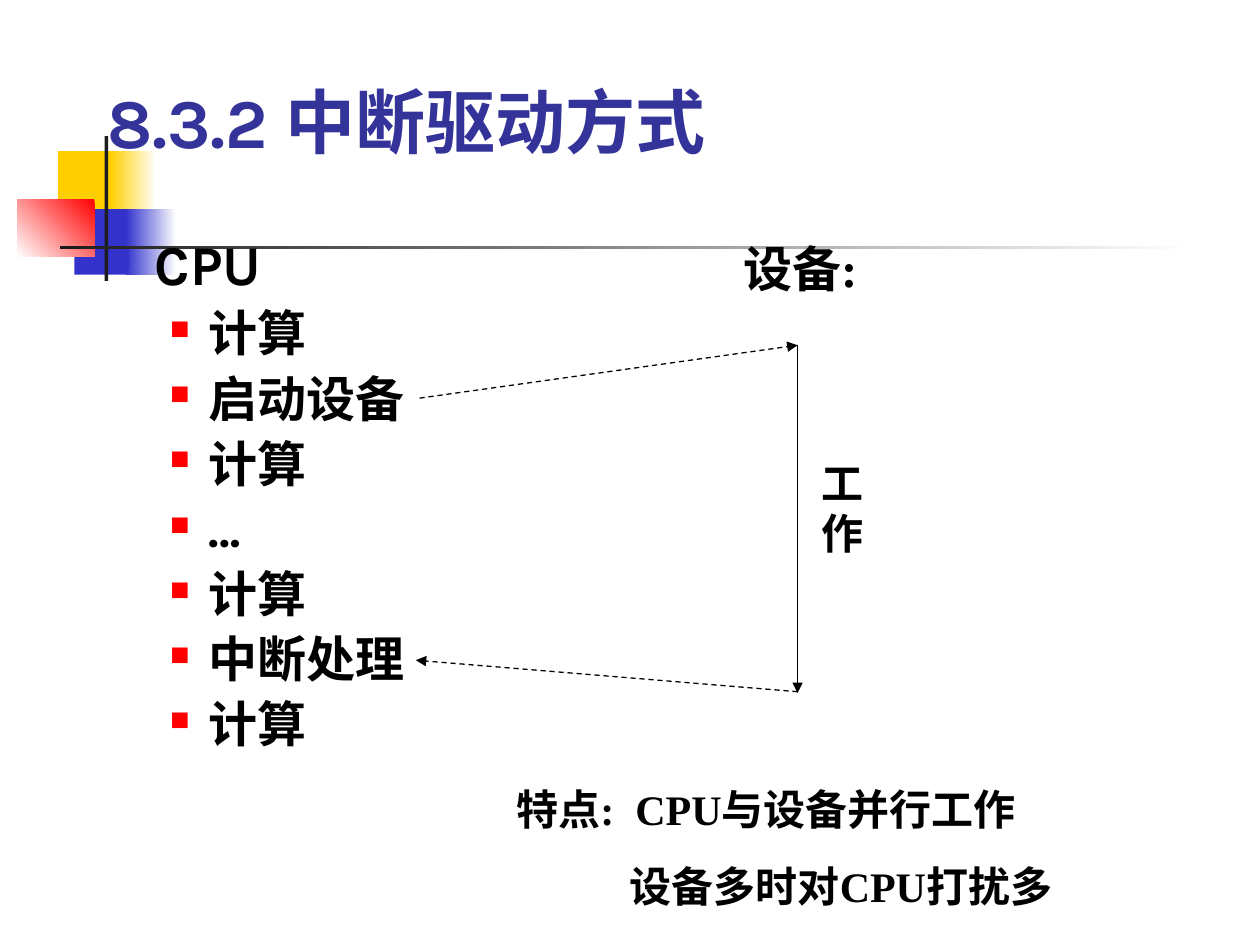
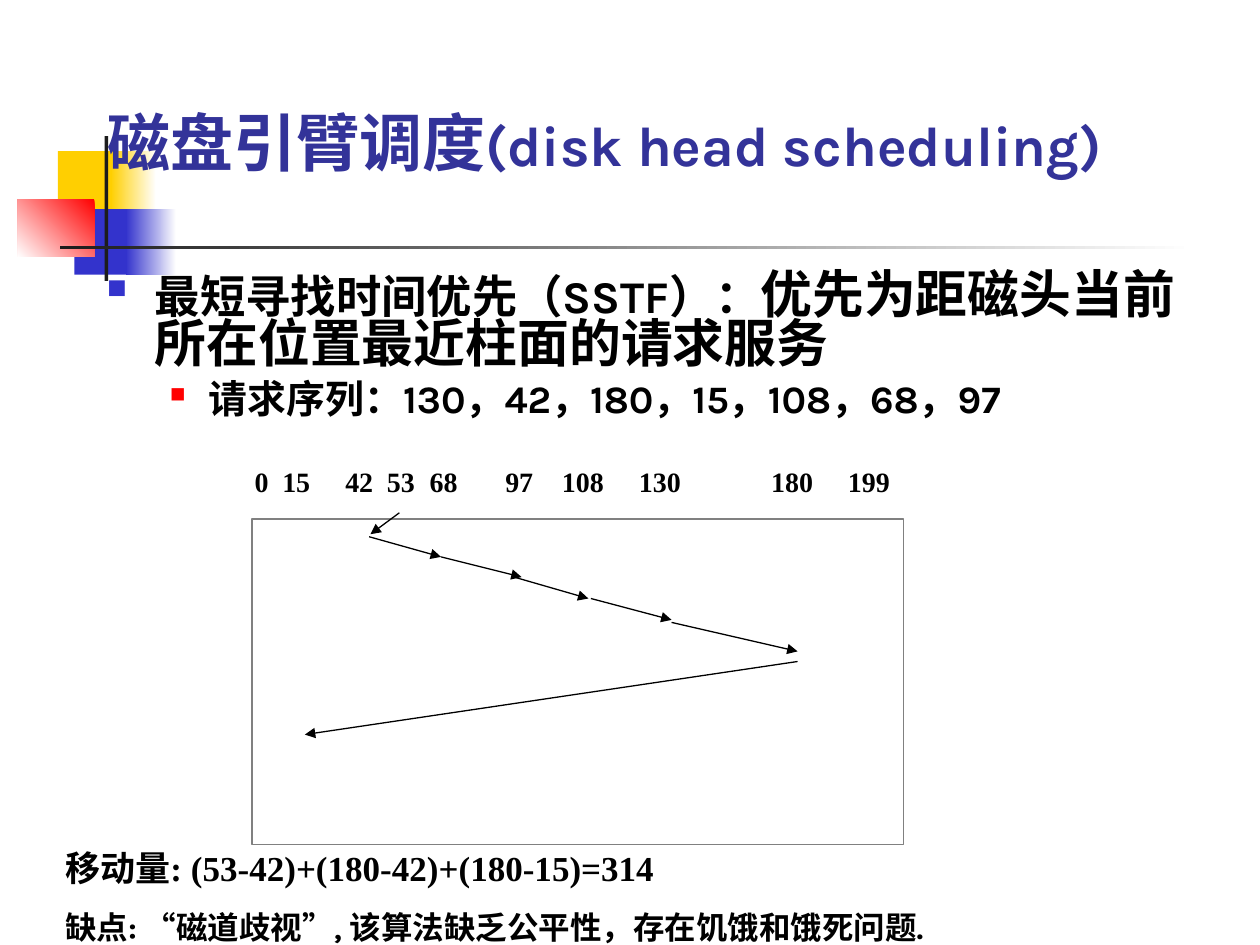
from dataclasses import dataclass
from typing import NamedTuple

from lxml.etree import SubElement
from pptx import Presentation
from pptx.dml.color import RGBColor
from pptx.enum.dml import MSO_LINE
from pptx.enum.shapes import MSO_CONNECTOR, MSO_SHAPE
from pptx.enum.text import MSO_ANCHOR, MSO_AUTO_SIZE, PP_ALIGN
from pptx.oxml.ns import qn
from pptx.util import Inches, Pt

# Shared style
COLORS = {
    "gold": "FFCF01", "blue": "3333CC", "red": "FF0000", "white": "FFFFFF",
    "dark": "1C1C1C", "title": "333399", "text": "000000", "frame": "808080",
}
SANS, SERIF = "Karla", "Times New Roman"
INSETS = (0.1, 0.05)


class Box(NamedTuple):
    left: float
    top: float
    width: float
    height: float


class Band(NamedTuple):
    box: Box
    start: str
    end: str = ""
    angle: int = 180


class Bullet(NamedTuple):
    color: str
    size: int
    left: float
    hang: float


class Run(NamedTuple):
    text: str
    size: float
    font: str = SANS
    color: str = "text"


class Arrow(NamedTuple):
    start: tuple[float, float]
    end: tuple[float, float]
    dashed: bool = False


@dataclass
class Para:
    runs: list[Run]
    before: float = 0
    spacing: float = 1.0
    bullet: Bullet | None = None
    indent: float = 0
    tabs: tuple[float, ...] = ()


MAIN = Bullet("blue", 60, 0.38, 0.38)
SUB = Bullet("red", 55, 0.81, 0.31)

BANDS = [
    Band(Box(0.46, 1.2, 0.48, 0.52), "gold"),
    Band(Box(0.88, 1.2, 0.36, 0.52), "white", "gold"),
    Band(Box(0.59, 1.66, 0.46, 0.52), "blue"),
    Band(Box(1, 1.66, 0.4, 0.52), "white", "blue"),
    Band(Box(0.14, 1.58, 0.61, 0.46), "red", "white", 225),
    Band(Box(0.83, 1.08, 0.03, 1.15), "dark"),
    Band(Box(0.48, 1.95, 9, 0.03), "white", "dark"),
]


def tint(name: str) -> RGBColor:
    return RGBColor.from_string(COLORS[name])


def assign(target, values: dict) -> None:
    for name, value in values.items():
        setattr(target, name, value)


def place(box: Box) -> list:
    return [Inches(value) for value in box]


# Text
def add_marks(para, spec: Para) -> None:
    """Set the bullet, the indent and the tab stops."""
    props = para._p.get_or_add_pPr()
    mark = spec.bullet
    if mark:
        props.set("marL", str(Inches(mark.left)))
        props.set("indent", str(-Inches(mark.hang)))
        color = SubElement(props, qn("a:buClr"))
        SubElement(color, qn("a:srgbClr"), val=COLORS[mark.color])
        SubElement(props, qn("a:buSzPct"), val=str(mark.size * 1000))
        SubElement(props, qn("a:buChar"), char="■")
    elif spec.indent:
        props.set("marL", str(Inches(spec.indent)))
        props.set("indent", "0")
    if spec.tabs:
        stops = SubElement(props, qn("a:tabLst"))
        for stop in spec.tabs:
            SubElement(stops, qn("a:tab"), pos=str(Inches(stop)), algn="l")


def fill_text(frame, paras: list[Para], insets=INSETS, anchor=MSO_ANCHOR.TOP) -> None:
    side, edge = map(Inches, insets)
    assign(frame, {
        "word_wrap": True, "auto_size": MSO_AUTO_SIZE.NONE,
        "vertical_anchor": anchor,
        "margin_left": side, "margin_right": side,
        "margin_top": edge, "margin_bottom": edge,
    })
    for index, spec in enumerate(paras):
        para = frame.add_paragraph() if index else frame.paragraphs[0]
        add_marks(para, spec)
        assign(para, {
            "alignment": PP_ALIGN.LEFT, "line_spacing": spec.spacing,
            "space_before": Pt(spec.before), "level": 1 if spec.bullet is SUB else 0,
        })
        for part in spec.runs:
            run = para.add_run()
            run.text = part.text
            assign(run.font, {"name": part.font, "size": Pt(part.size), "bold": True})
            run.font.color.rgb = tint(part.color)


def add_text(slide, box: Box, paras: list[Para], insets=INSETS) -> None:
    fill_text(slide.shapes.add_textbox(*place(box)).text_frame, paras, insets)


# Shapes
def add_rect(slide, box: Box):
    rect = slide.shapes.add_shape(MSO_SHAPE.RECTANGLE, *place(box))
    rect.shadow.inherit = False
    return rect


def add_band(slide, band: Band) -> None:
    rect = add_rect(slide, band.box)
    rect.line.fill.background()
    if band.end:
        rect.fill.gradient()
        rect.fill.gradient_angle = band.angle
        for stop, name in zip(rect.fill.gradient_stops, (band.start, band.end)):
            stop.color.rgb = tint(name)
    else:
        rect.fill.solid()
        rect.fill.fore_color.rgb = tint(band.start)


def add_arrow(slide, arrow: Arrow) -> None:
    ends = [Inches(value) for value in arrow.start + arrow.end]
    link = slide.shapes.add_connector(MSO_CONNECTOR.STRAIGHT, *ends)
    link.line.width = Pt(0.75)
    link.line.color.rgb = tint("text")
    if arrow.dashed:
        link.line.dash_style = MSO_LINE.DASH
    props = link.element.spPr
    SubElement(props.find(qn("a:ln")), qn("a:tailEnd"), type="triangle")
    SubElement(props, qn("a:effectLst"))


def new_slide(deck, top: float, title: list[Run]):
    slide = deck.slides.add_slide(deck.slide_layouts[5])
    for band in BANDS:
        add_band(slide, band)
    head = slide.shapes.title
    slide.shapes.element.append(head.element)  # title above the bands
    spots = place(Box(0.75, top, 8.5, 1.25))
    assign(head, dict(zip(Box._fields, spots)))
    fill_text(head.text_frame, [Para(title)], anchor=MSO_ANCHOR.MIDDLE)
    return slide


# Slide 1: interrupt-driven mode
def draw_drive(deck) -> None:
    slide = new_slide(deck, 0.33, [Run("8.3.2 中断驱动方式", 40, color="title")])
    steps = ["计算", "启动设备", "计算", "…", "计算", "中断处理", "计算"]
    add_text(slide, Box(0.75, 1.83, 3.67, 4.5),
             [Para([Run("CPU", 32)], spacing=0.9, bullet=MAIN)]
             + [Para([Run(step, 28)], 7, 0.9, SUB) for step in steps])
    add_text(slide, Box(5.8, 1.84, 1.25, 0.57), [Para([Run("设备:", 28, SERIF)])])
    add_text(slide, Box(6.42, 3.58, 0.75, 0.9), [Para([Run("工作", 24, SERIF)])])
    for arrow in (
        Arrow((6.33, 2.74), (6.33, 5.5)),
        Arrow((3.33, 3.16), (6.33, 2.74), True),
        Arrow((6.33, 5.49), (3.3, 5.24), True),
    ):
        add_arrow(slide, arrow)
    add_text(slide, Box(4, 6.17, 5.25, 1.11), [
        Para([Run("特点:  CPU与设备并行工作", 24, SERIF)]),
        Para([Run("设备多时对CPU打扰多", 24, SERIF)], 15, indent=0.9),
    ])


# Slide 2: disk head scheduling
def draw_disk(deck) -> None:
    slide = new_slide(deck, 0.5, [
        Run("磁盘引臂调度", 36, color="title"),
        Run("(disk head scheduling)", 32, color="title"),
    ])
    add_text(slide, Box(0.75, 2.12, 8.86, 1.55), [
        Para([Run("最短寻找时间优先（SSTF）：", 25.9),
              Run("优先为距磁头当前所在位置最近柱面的请求服务", 29.6)],
             spacing=0.8, bullet=MAIN),
        Para([Run("请求序列：130，42，180，15，108，68，97", 22.2)], 6, 0.8, SUB),
    ])

    # Track scale and head moves
    frame = add_rect(slide, Box(2, 4.12, 5.17, 2.58))
    frame.fill.background()
    frame.line.width = Pt(0.75)
    frame.line.color.rgb = tint("frame")
    tracks = [0, 15, 42, 53, 68, 97, 108, 130, 180, 199]
    stops = (0.22, 0.72, 1.05, 1.39, 1.99, 2.44, 3.05, 4.1, 4.71)
    scale = Run("\t".join(map(str, tracks)), 16, SERIF)
    add_text(slide, Box(2, 3.69, 5.15, 0.52), [Para([scale], tabs=stops)], (0.02, 0))
    for arrow in (
        Arrow((3.17, 4.07), (2.94, 4.24)),
        Arrow((2.93, 4.26), (3.5, 4.42)),
        Arrow((3.5, 4.42), (4.14, 4.58)),
        Arrow((4.08, 4.58), (4.67, 4.75)),
        Arrow((4.69, 4.75), (5.33, 4.92)),
        Arrow((5.33, 4.94), (6.33, 5.17)),
        Arrow((6.33, 5.25), (2.42, 5.83)),
    ):
        add_arrow(slide, arrow)

    add_text(slide, Box(0.42, 6.67, 9.5, 0.89), [
        Para([Run("移动量: (53-42)+(180-42)+(180-15)=314", 20, SERIF)]),
        Para([Run("缺点: “磁道歧视”, 该算法缺乏公平性，存在饥饿和饿死问题.", 18)], 11.25),
    ])


def main() -> None:
    deck = Presentation()
    assign(deck, {"slide_width": Inches(10), "slide_height": Inches(7.5)})
    draw_drive(deck)
    draw_disk(deck)
    deck.save("out.pptx")


if __name__ == "__main__":
    main()
